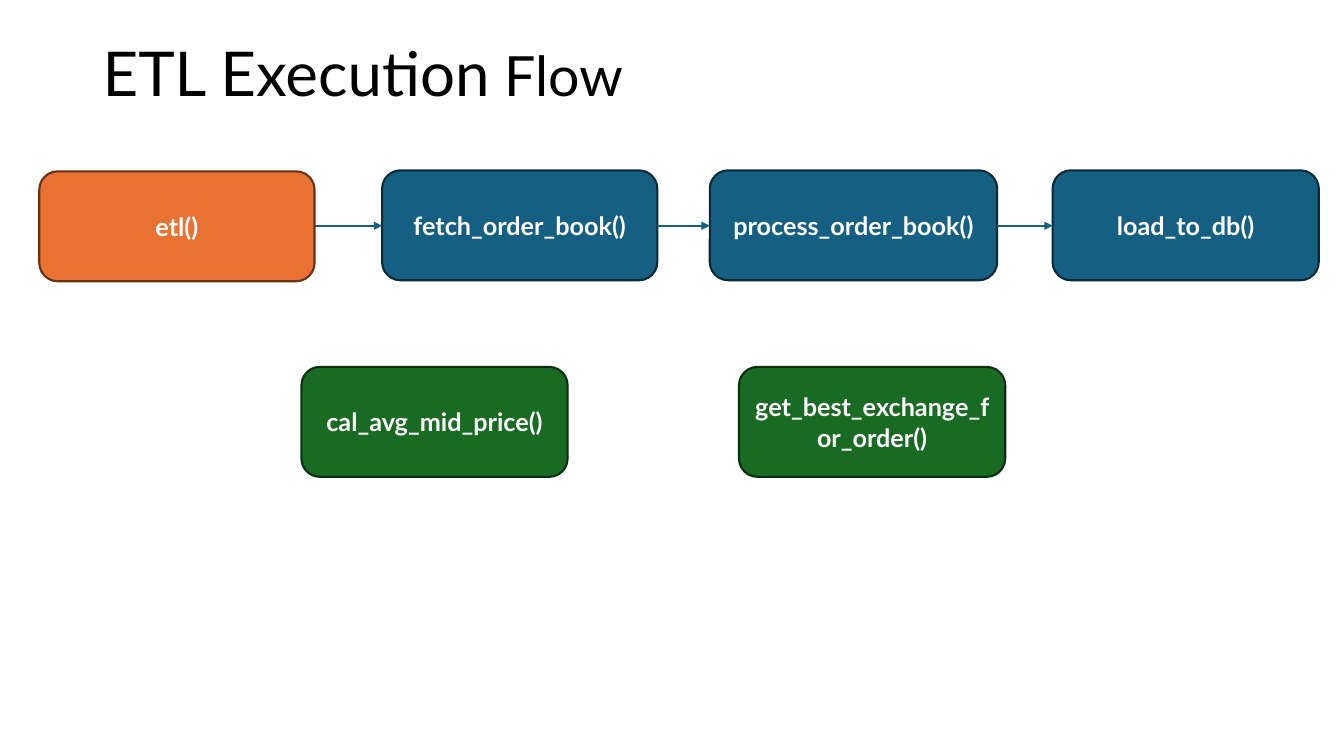
from lxml import etree
from pptx import Presentation
from pptx.dml.color import RGBColor
from pptx.enum.shapes import MSO_CONNECTOR, MSO_SHAPE
from pptx.enum.text import MSO_ANCHOR, PP_ALIGN
from pptx.oxml.ns import qn
from pptx.util import Inches, Pt

FONT = "Lato"
BLACK = RGBColor(0x00, 0x00, 0x00)
WHITE = RGBColor(0xFF, 0xFF, 0xFF)
ORANGE = RGBColor(0xE9, 0x71, 0x32)
BROWN = RGBColor(0x66, 0x32, 0x16)
BLUE = RGBColor(0x15, 0x60, 0x82)
NAVY = RGBColor(0x09, 0x2A, 0x39)
GREEN = RGBColor(0x19, 0x6B, 0x24)
DARK_GREEN = RGBColor(0x0B, 0x2F, 0x10)

BOX_HEIGHT = 1.09
ARROW_Y = 2.24

prs = Presentation()
prs.slide_width = Inches(13.33)
prs.slide_height = Inches(7.5)
s = prs.slides.add_slide(prs.slide_layouts[6])

title = s.shapes.add_textbox(Inches(0.92), Inches(0.4), Inches(11.5), Inches(0.72))
tf = title.text_frame
tf.word_wrap = True
tf.vertical_anchor = MSO_ANCHOR.MIDDLE
p = tf.paragraphs[0]
p.line_spacing = 0.9
p.font.name = FONT
p.font.color.rgb = BLACK
for text, size in [("ETL Execution", 44.1), (" Flow", 39.6)]:
    r = p.add_run()
    r.text = text
    r.font.size = Pt(size)

steps = [
    ("etl()", 0.39, 1.7, 2.73, ORANGE, BROWN),
    ("fetch_order_book()", 3.79, 1.69, 2.73, BLUE, NAVY),
    ("process_order_book()", 7.04, 1.69, 2.85, BLUE, NAVY),
    ("load_to_db()", 10.44, 1.69, 2.64, BLUE, NAVY),
]
helpers = [
    ("cal_avg_mid_price()", 2.99, 3.64, 2.64, GREEN, DARK_GREEN),
    ("get_best_exchange_for_order()", 7.33, 3.64, 2.64, GREEN, DARK_GREEN),
]
for text, left, top, width, fill, line in steps + helpers:
    sp = s.shapes.add_shape(
        MSO_SHAPE.ROUNDED_RECTANGLE,
        Inches(left), Inches(top), Inches(width), Inches(BOX_HEIGHT),
    )
    sp.shadow.inherit = False
    sp.fill.solid()
    sp.fill.fore_color.rgb = fill
    sp.line.color.rgb = line
    sp.line.width = Pt(1.5)
    tf = sp.text_frame
    tf.word_wrap = True
    tf.vertical_anchor = MSO_ANCHOR.MIDDLE
    p = tf.paragraphs[0]
    p.text = text
    p.alignment = PP_ALIGN.CENTER
    p.font.name = FONT
    p.font.size = Pt(18)
    p.font.bold = True
    p.font.color.rgb = WHITE

for step, following in zip(steps, steps[1:]):
    start = step[1] + step[3]
    end = following[1]
    arrow = s.shapes.add_connector(
        MSO_CONNECTOR.STRAIGHT,
        Inches(start), Inches(ARROW_Y), Inches(end), Inches(ARROW_Y),
    )
    arrow.line.color.rgb = BLUE
    arrow.line.width = Pt(1.5)
    etree.SubElement(arrow.line._get_or_add_ln(), qn("a:tailEnd"), type="triangle")
    etree.SubElement(arrow._element.spPr, qn("a:effectLst"))

prs.save("out.pptx")
